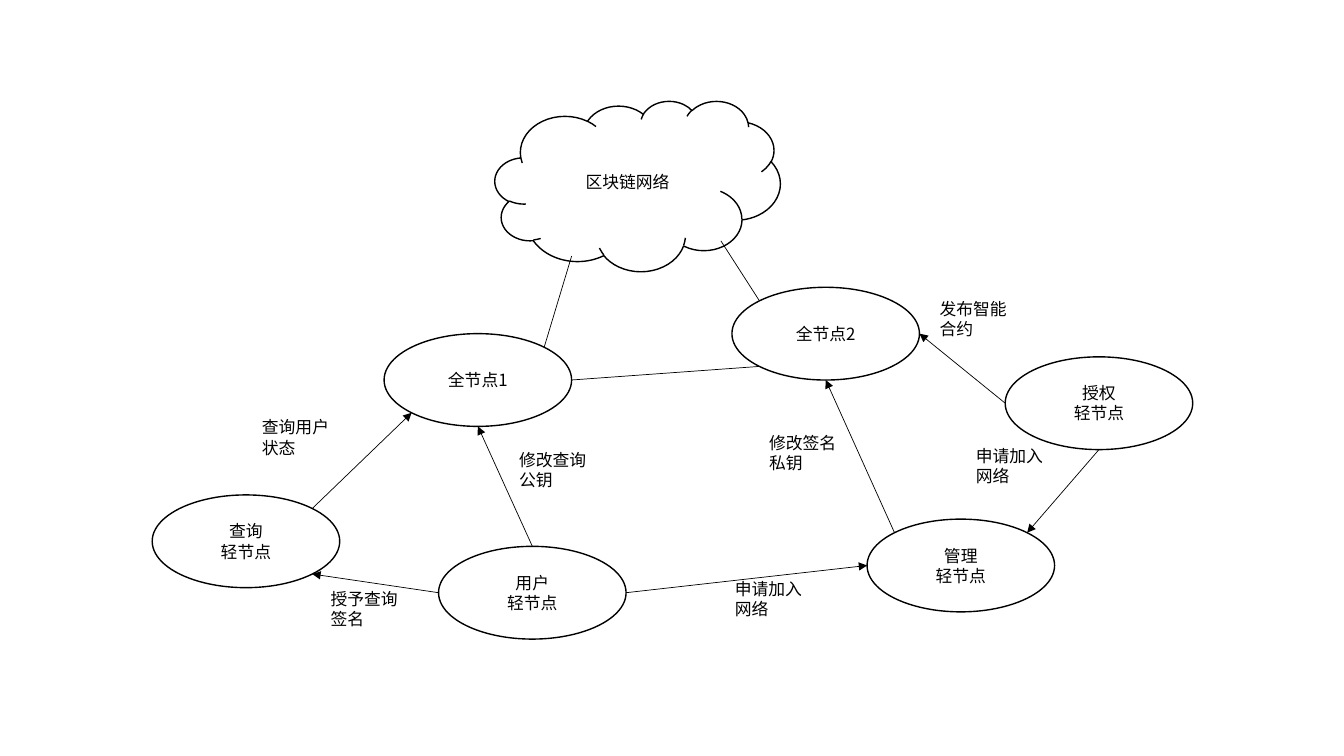
import math

from lxml import etree
from pptx import Presentation
from pptx import util as u
from pptx.dml.color import RGBColor
from pptx.enum import shapes, text
from pptx.oxml.ns import qn

FONT = "Noto Sans CJK SC"
INK, PAPER = "000000", "FFFFFF"
NODE_W, NODE_H = 1.86, 0.92
LABEL_W, LABEL_H = 0.97, 0.5

# name: (left, top, lines of text)
NODES = {
    "full1": (3.81, 3.31, ["全节点1"]),
    "full2": (7.26, 2.85, ["全节点2"]),
    "user": (4.35, 5.42, ["用户", "轻节点"]),
    "query": (1.51, 4.91, ["查询", "轻节点"]),
    "grant": (9.97, 3.54, ["授权", "轻节点"]),
    "admin": (8.6, 5.15, ["管理", "轻节点"]),
}
CLOUD = (4.91, 1, 2.83, 1.69, ["区块链网络"])

# Compass side of an ellipse: angle in degrees, clockwise from the right
SIDES = {"E": 0, "SE": 45, "S": 90, "SW": 135, "W": 180, "NW": 225, "N": 270, "NE": 315}

# (from node, side, to node, side, has arrowhead)
LINKS = [
    ("full2", "SW", "full1", "E", False),
    ("user", "W", "query", "SE", True),
    ("user", "E", "admin", "W", True),
    ("grant", "W", "full2", "E", True),
    ("grant", "S", "admin", "NE", True),
    ("query", "NE", "full1", "SW", True),
    ("admin", "NW", "full2", "S", True),
    ("user", "N", "full1", "S", True),
]
# (node, side, point on the cloud's edge)
CLOUD_LINKS = [("full1", "NE", (5.67, 2.54)), ("full2", "NW", (7.15, 2.39))]

LABELS = [
    (2.5, 4.09, "查询用户状态"),
    (3.18, 5.79, "授予查询签名"),
    (5.05, 4.41, "修改查询公钥"),
    (7.19, 5.69, "申请加入网络"),
    (9.58, 4.37, "申请加入网络"),
    (7.53, 4.24, "修改签名私钥"),
    (9.22, 2.91, "发布智能合约"),
]


def color(hex_value):
    return RGBColor.from_string(hex_value)


def write(frame, lines, align):
    frame.word_wrap = True
    for i, line in enumerate(lines):
        paragraph = frame.paragraphs[0] if i == 0 else frame.add_paragraph()
        paragraph.alignment = align
        run = paragraph.add_run()
        run.text = line
        run.font.size = u.Pt(12)
        run.font.name = FONT
        run.font.color.rgb = color(INK)
        east_asian = etree.SubElement(run.font._element, qn("a:ea"))
        east_asian.set("typeface", FONT)


def add_outlined(slide, kind, left, top, width, height, lines):
    outlined = slide.shapes.add_shape(kind, *map(u.Inches, (left, top, width, height)))
    outlined.shadow.inherit = False
    outlined.fill.solid()
    outlined.fill.fore_color.rgb = color(PAPER)
    outlined.line.color.rgb = color(INK)
    outlined.line.width = u.Pt(1)
    outlined.text_frame.vertical_anchor = text.MSO_ANCHOR.MIDDLE
    write(outlined.text_frame, lines, text.PP_ALIGN.CENTER)


def edge_point(node, side):
    left, top, _ = NODES[node]
    angle = math.radians(SIDES[side])
    return (left + NODE_W / 2 * (1 + math.cos(angle)),
            top + NODE_H / 2 * (1 + math.sin(angle)))


def add_link(slide, start, end, arrow=False):
    link = slide.shapes.add_connector(
        shapes.MSO_CONNECTOR.STRAIGHT, *map(u.Inches, (*start, *end)))
    link.line.color.rgb = color(INK)
    link.line.width = u.Pt(0.5)
    if arrow:
        head = etree.SubElement(link.line._get_or_add_ln(), qn("a:tailEnd"))
        head.set("type", "triangle")
    etree.SubElement(link._element.spPr, qn("a:effectLst"))


def main():
    prs = Presentation()
    prs.slide_width, prs.slide_height = u.Inches(13.33), u.Inches(7.5)
    slide = prs.slides.add_slide(prs.slide_layouts[6])

    for left, top, lines in NODES.values():
        add_outlined(slide, shapes.MSO_SHAPE.OVAL, left, top, NODE_W, NODE_H, lines)
    for source, source_side, target, target_side, arrow in LINKS:
        add_link(slide, edge_point(source, source_side),
                 edge_point(target, target_side), arrow)
    for left, top, wording in LABELS:
        label = slide.shapes.add_textbox(*map(u.Inches, (left, top, LABEL_W, LABEL_H)))
        label.text_frame.auto_size = text.MSO_AUTO_SIZE.SHAPE_TO_FIT_TEXT
        write(label.text_frame, [wording], text.PP_ALIGN.LEFT)
    add_outlined(slide, shapes.MSO_SHAPE.CLOUD, *CLOUD)
    for node, side, cloud_point in CLOUD_LINKS:
        add_link(slide, edge_point(node, side), cloud_point)

    prs.save("out.pptx")


if __name__ == "__main__":
    main()
